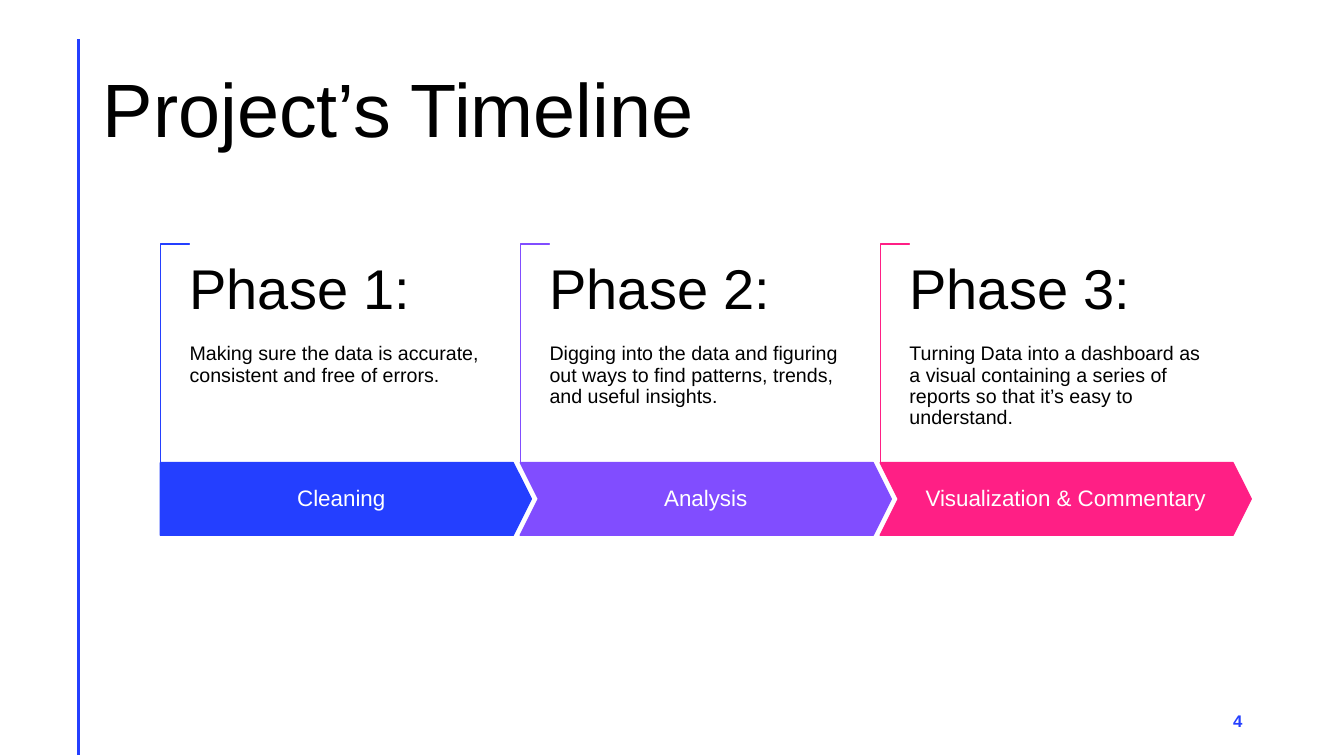
from lxml import etree
from pptx import Presentation
from pptx.dml.color import RGBColor
from pptx.enum.shapes import MSO_CONNECTOR, MSO_SHAPE
from pptx.enum.text import MSO_ANCHOR, PP_ALIGN
from pptx.oxml.ns import qn
from pptx.util import Inches, Pt

BLUE, PURPLE, PINK = "243FFF", "814DFF", "FF1F85"
BLACK, WHITE = "000000", "FFFFFF"
PHASES = [
    ("Phase 1:", "Making sure the data is accurate, consistent and free of errors.",
     "Cleaning", BLUE, MSO_SHAPE.PENTAGON),
    ("Phase 2:", "Digging into the data and figuring out ways to find patterns, trends, "
     "and useful insights.", "Analysis", PURPLE, MSO_SHAPE.CHEVRON),
    ("Phase 3:", "Turning Data into a dashboard as a visual containing a series of reports "
     "so that it’s easy to understand.", "Visualization & Commentary", PINK, MSO_SHAPE.CHEVRON),
]


def rgb(color):
    return RGBColor.from_string(color)


def write(p, text, size, color, align=PP_ALIGN.LEFT, spacing=0.9):
    p.text = text
    p.alignment = align
    p.line_spacing = spacing
    p.font.name = "Arial"
    p.font.size = Pt(size)
    p.font.color.rgb = rgb(color)


def set_margins(tf, x, y):
    tf.margin_left = tf.margin_right = Inches(x)
    tf.margin_top = tf.margin_bottom = Inches(y)


def add_text(slide, x, y, w, h, anchor=MSO_ANCHOR.MIDDLE):
    tf = slide.shapes.add_textbox(Inches(x), Inches(y), Inches(w), Inches(h)).text_frame
    tf.word_wrap = True
    tf.vertical_anchor = anchor
    return tf


def add_shape(slide, kind, x, y, w, h, fill, line, adjustments):
    sp = slide.shapes.add_shape(kind, Inches(x), Inches(y), Inches(w), Inches(h))
    sp.shadow.inherit = False
    sp.fill.solid()
    sp.fill.fore_color.rgb = rgb(fill)
    sp.line.color.rgb = rgb(line)
    sp.line.width = Pt(1)
    for i, value in enumerate(adjustments):
        sp.adjustments[i] = value
    return sp


def add_frame(slide, x, y, w, h):
    line = slide.shapes.add_connector(
        MSO_CONNECTOR.STRAIGHT, Inches(x), Inches(y), Inches(x), Inches(y + h))
    line.line.color.rgb = rgb(BLUE)
    line.line.width = Pt(2)
    etree.SubElement(line._element.spPr, qn("a:effectLst"))
    title = add_text(slide, x + 0.14, y + 0.01, w, 1.45)
    write(title.paragraphs[0], "Project’s Timeline", 54, BLACK)
    number = add_text(slide, x + 8.64, y + 6.56, 3, 0.4).paragraphs[0]
    write(number, "4", 12, BLUE, PP_ALIGN.RIGHT, 1.0)
    number.font.bold = True


def add_phase(slide, x, y, w, h, phase):
    heading, description, label, color, kind = phase
    arrow_h, corner_w = 0.72, 0.29
    corner_h = h - arrow_h

    corner = add_shape(slide, MSO_SHAPE.CORNER, x + (corner_w - corner_h) / 2,
                       y + (corner_h - corner_w) / 2, corner_h, corner_w,
                       WHITE, color, (0.01, 0.01))
    corner.rotation = 90

    arrow = add_shape(slide, kind, x, y + corner_h, w, arrow_h, color, color, (0.25,))
    tf = arrow.text_frame
    tf.word_wrap = True
    tf.vertical_anchor = MSO_ANCHOR.MIDDLE
    set_margins(tf, 0.11, 0.22)
    write(tf.paragraphs[0], label, 16, WHITE, PP_ALIGN.CENTER)

    tf = add_text(slide, x + corner_w, y + 0.17, 2.99, 1.48, MSO_ANCHOR.TOP)
    set_margins(tf, 0, 0)
    write(tf.paragraphs[0], heading, 40, BLACK)
    tf.paragraphs[0].space_after = Pt(16)
    write(tf.add_paragraph(), description, 14, BLACK)


def add_timeline(slide, x, y, w, h):
    phase_w = 3.68
    step = (w - phase_w) / (len(PHASES) - 1)
    for i, phase in enumerate(PHASES):
        add_phase(slide, x + i * step, y, phase_w, h, phase)


def main():
    prs = Presentation()
    prs.slide_width, prs.slide_height = Inches(13.33), Inches(7.5)
    slide = prs.slides.add_slide(prs.slide_layouts[6])
    add_frame(slide, 0.78, 0.39, 11.5, 7.1)
    add_timeline(slide, 1.59, 2.42, 10.82, 2.89)
    prs.save("out.pptx")


if __name__ == "__main__":
    main()
